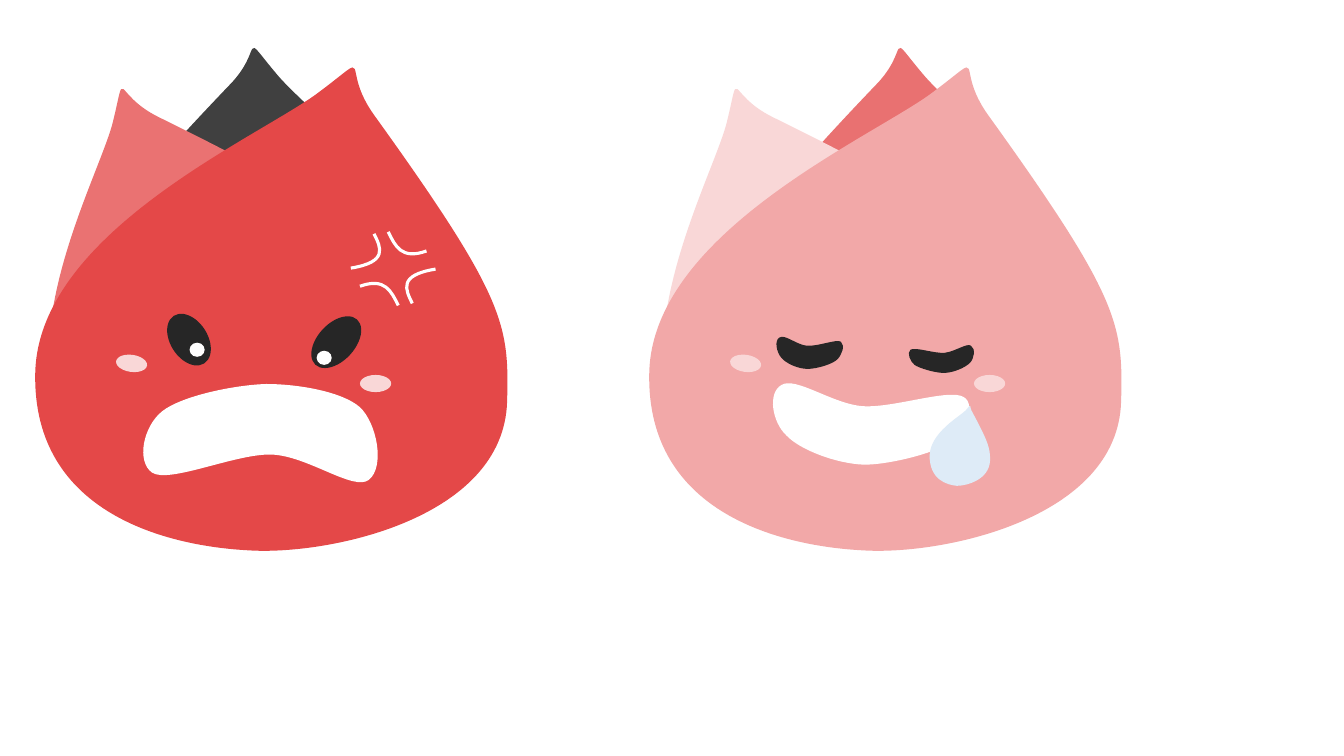
from dataclasses import dataclass

from lxml import etree
from pptx import Presentation
from pptx.dml.color import RGBColor
from pptx.enum.shapes import MSO_SHAPE
from pptx.oxml.ns import qn
from pptx.util import Inches, Pt

OVAL = MSO_SHAPE.OVAL
CELL = Inches(0.01)  # one grid column or row
COLUMNS, ROWS = 1333, 750


@dataclass(frozen=True)
class Theme:
    red: str = "E44848"
    coral: str = "EA7272"
    rose: str = "E97171"
    pink: str = "F2A8A8"
    blush: str = "F9D7D7"
    charcoal: str = "404040"
    ink: str = "262626"
    white: str = "FFFFFF"
    tear: str = "DEEBF7"
    mark_width: float = 2.25


# Outlines: a start point, then two handles and an end point per curve
BACK_LEAF = [(450, 352), (470, 231), (311, 118), (274, 73), (237, 29), (263, 48), (228, 84),
             (97, 221), (91, 243), (80, 308), (64, 408), (195, 464), (256, 472),
             (318, 479), (430, 472), (450, 352)]
SIDE_LEAF = [(73, 452), (4, 342), (98, 177), (112, 121), (126, 64), (111, 93), (157, 116),
             (332, 202), (347, 221), (384, 281), (441, 372), (348, 472), (296, 501),
             (244, 529), (142, 562), (73, 452)]
BODY = [(35, 370), (38, 229), (261, 134), (317, 91), (373, 49), (336, 65), (371, 114),
        (502, 296), (505, 322), (503, 398), (500, 515), (325, 551), (247, 546),
        (169, 542), (32, 511), (35, 370)]
FROWN = [(357, 404), (374, 420), (382, 463), (366, 476), (351, 488), (305, 452), (269, 451),
         (234, 450), (168, 480), (151, 469), (135, 458), (142, 423), (161, 408),
         (180, 393), (232, 382), (264, 381), (297, 381), (340, 389), (357, 404)]
SMILE = [(780, 432), (766, 419), (761, 390), (775, 382), (789, 373), (826, 401), (856, 403),
         (886, 405), (942, 385), (956, 394), (969, 402), (955, 427), (945, 437),
         (933, 448), (884, 461), (857, 461), (829, 460), (793, 446), (780, 432)]
LEFT_LID = [(775, 355), (770, 349), (768, 338), (773, 335), (778, 331), (790, 342), (800, 343),
            (811, 344), (830, 336), (834, 339), (839, 343), (834, 353), (831, 356),
            (827, 361), (810, 366), (801, 366), (791, 366), (779, 360), (775, 355)]
RIGHT_LID = [(962, 360), (966, 356), (968, 346), (963, 343), (959, 340), (947, 349), (937, 350),
             (927, 351), (908, 344), (903, 347), (899, 350), (903, 359), (907, 362),
             (911, 365), (927, 370), (936, 370), (945, 370), (957, 365), (962, 360)]
TEARDROP = [(922, 452), (923, 429), (951, 414), (958, 407), (965, 399), (960, 402), (965, 410),
            (981, 440), (982, 445), (982, 457), (981, 476), (959, 482), (949, 482),
            (939, 481), (922, 476), (922, 452)]
ANGER_MARKS = [[(371, 232), (378, 246), (385, 260), (348, 266)],
               [(385, 230), (392, 244), (398, 258), (423, 249)]]
MARK_TURN = (780, 533)  # twice the centre of the anger marks


class Sketch:
    def __init__(self, slide, theme):
        self.shapes = slide.shapes
        self.theme = theme

    def paint(self, shape, colour):
        shape.shadow.inherit = False
        shape.fill.solid()
        shape.fill.fore_color.rgb = RGBColor.from_string(colour)
        shape.line.fill.background()

    def curve(self, points, shift=0, close=True):
        start, *rest = [(x + shift, y) for x, y in points]
        builder = self.shapes.build_freeform(*start, scale=CELL)
        builder.add_line_segments(rest, close=close)
        shape = builder.convert_to_shape()
        # Join every three straight segments into one Bézier curve
        segments = list(shape.element.iter(qn("a:lnTo")))
        for first in range(0, len(segments), 3):
            bezier = etree.Element(qn("a:cubicBezTo"))
            segments[first].addprevious(bezier)
            for segment in segments[first:first + 3]:
                bezier.append(segment[0])
                segment.getparent().remove(segment)
        return shape

    def outline(self, points, colour, shift=0):
        self.paint(self.curve(points, shift), colour)

    def stroke(self, points, colour):
        mark = self.curve(points, close=False)
        mark.shadow.inherit = False
        mark.fill.background()
        mark.line.color.rgb = RGBColor.from_string(colour)
        mark.line.width = Pt(self.theme.mark_width)

    def oval(self, left, top, width, height, colour, turn=0):
        spot = self.shapes.add_shape(OVAL, *(n * CELL for n in (left, top, width, height)))
        spot.rotation = turn
        self.paint(spot, colour)

    def bud(self, shift, back_shift, back, side, body):
        self.outline(BACK_LEAF, back, back_shift)
        self.outline(SIDE_LEAF, side, shift)
        self.outline(BODY, body, shift)

    def cheeks(self, shift):
        self.oval(357 + shift, 372, 31, 17, self.theme.blush)
        self.oval(115 + shift, 352, 31, 17, self.theme.blush, 7.9)


def angry_bud(sketch, theme):
    sketch.bud(0, 0, theme.charcoal, theme.coral, theme.red)
    sketch.outline(FROWN, theme.white)
    # Eyes with their glints
    sketch.oval(169, 309, 37, 56, theme.ink, 327.5)
    sketch.oval(188, 340, 15, 14, theme.white)
    sketch.oval(315, 309, 37, 61, theme.ink, 42.7)
    sketch.oval(314, 348, 15, 14, theme.white)
    sketch.cheeks(0)


def relieved_bud(sketch, theme):
    sketch.bud(609, 641, theme.rose, theme.blush, theme.pink)
    sketch.outline(SMILE, theme.white)
    sketch.cheeks(609)
    for lid in (LEFT_LID, RIGHT_LID):
        sketch.outline(lid, theme.ink)
    sketch.outline(TEARDROP, theme.tear)


def anger_marks(sketch, theme):
    # Each mark, then its half turn about the common centre
    turn_x, turn_y = MARK_TURN
    for mark in ANGER_MARKS:
        sketch.stroke(mark, theme.white)
        sketch.stroke([(turn_x - x, turn_y - y) for x, y in mark], theme.white)


def main():
    deck = Presentation()
    deck.slide_width, deck.slide_height = COLUMNS * CELL, ROWS * CELL
    theme = Theme()
    sketch = Sketch(deck.slides.add_slide(deck.slide_layouts[6]), theme)
    angry_bud(sketch, theme)
    relieved_bud(sketch, theme)
    anger_marks(sketch, theme)
    deck.save("out.pptx")


if __name__ == "__main__":
    main()
